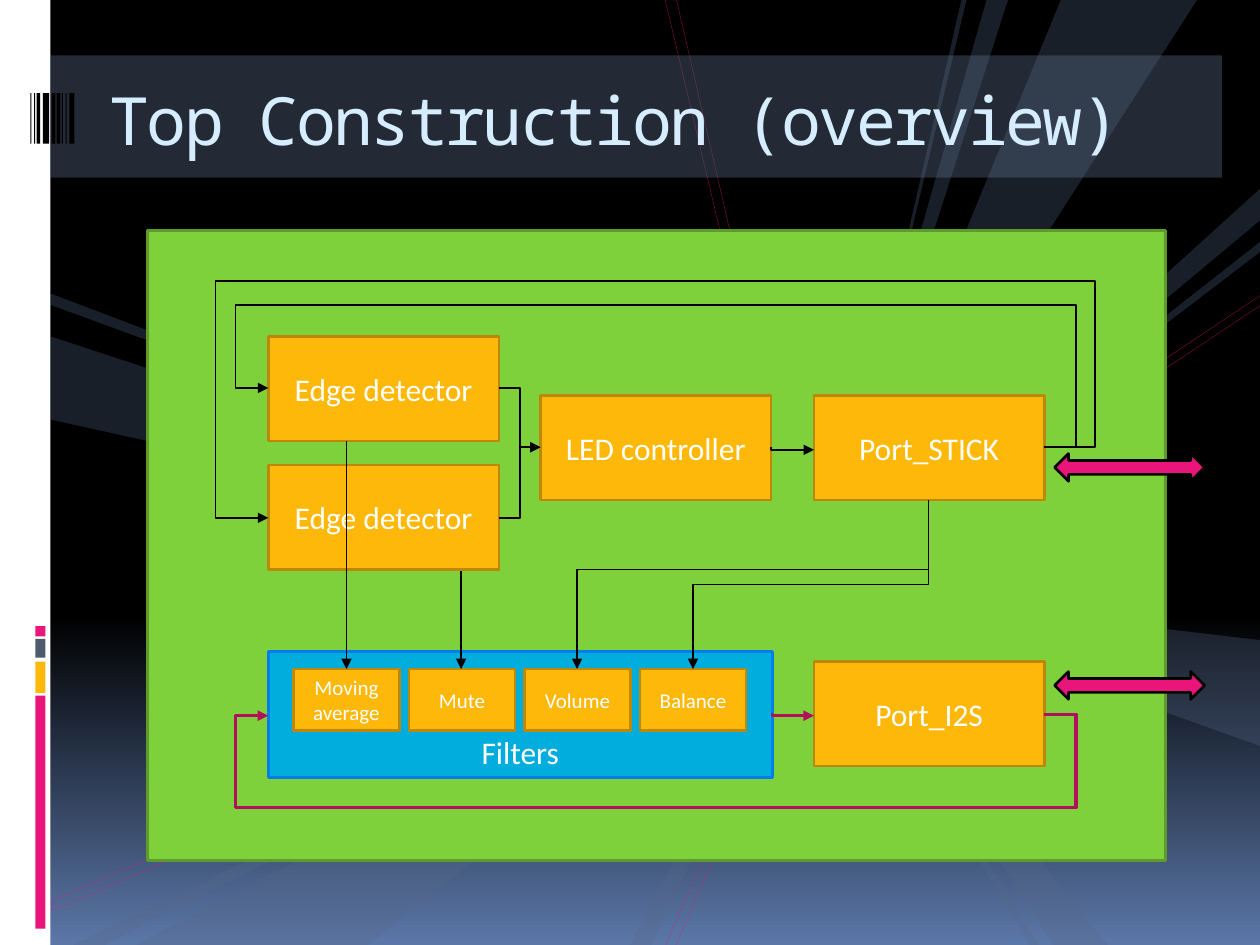
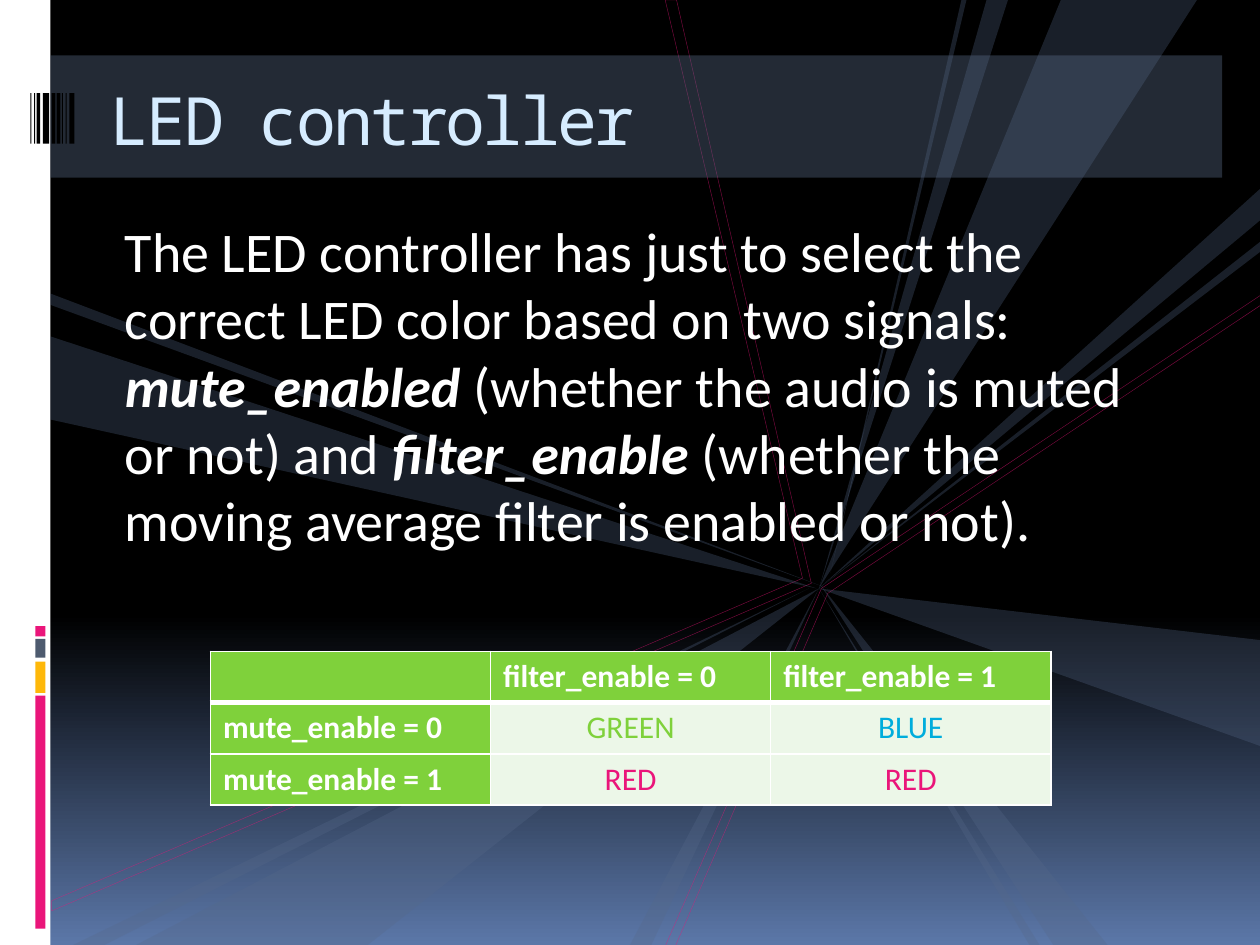
from lxml import etree
from pptx import Presentation
from pptx import util as u
from pptx.dml.color import RGBColor
from pptx.enum import shapes as kinds, text as txt
from pptx.oxml.ns import qn

BLACK = RGBColor(0x00, 0x00, 0x00)
WHITE = RGBColor(0xFF, 0xFF, 0xFF)
DUSK = RGBColor(0x5B, 0x77, 0xA8)
SLATE = RGBColor(0x4E, 0x5B, 0x6F)
RAY = RGBColor(0x56, 0x69, 0x89)
BAND = RGBColor(0x58, 0x6A, 0x86)
ICE = RGBColor(0xD6, 0xEC, 0xFF)
PINK = RGBColor(0xEA, 0x15, 0x7A)
DARK_PINK = RGBColor(0xB0, 0x10, 0x5C)
AMBER = RGBColor(0xFE, 0xB8, 0x0A)
DARK_AMBER = RGBColor(0xBC, 0x88, 0x07)
GREEN = RGBColor(0x7F, 0xD1, 0x3B)
DARK_GREEN = RGBColor(0x5E, 0x9B, 0x2C)
BLUE = RGBColor(0x00, 0xAD, 0xDC)
DARK_BLUE = RGBColor(0x00, 0x7E, 0xEB)
PALE = RGBColor(0xEC, 0xF7, 0xE8)
BODY_FONT, TITLE_FONT = "Calibri", "Noto Sans Mono"

SIDE_BARS = [(0, 0, 0.4, 7.5, WHITE), (0.28, 5.52, 0.08, 1.85, PINK),
             (0.28, 5.25, 0.08, 0.25, AMBER), (0.28, 5.07, 0.08, 0.15, SLATE),
             (0.28, 4.97, 0.08, 0.08, PINK)]
BARCODE = [(0.24, 0.01), (0.27, 0.01), (0.29, 0.03), (0.34, 0.05), (0.41, 0.03),
           (0.45, 0.03), (0.49, 0.01), (0.52, 0.01), (0.55, 0.04)]
PINK_OUTLINES = [
    [(5.28, 7.51), (6.52, 4.67), (10.01, 2.34), (10.01, 2.42), (6.57, 4.71), (5.36, 7.51)],
    [(0.41, 7.15), (0.41, 7.23), (6.44, 4.63), (5.37, 0), (5.28, 0), (6.37, 4.59)],
]
HUB = (6.5, 4.67)
RAYS = [
    [(7.67, 0), (6.59, 4.55), (7.63, 0)],
    [(8.42, 0), (9.5, 0), HUB],
    [HUB, (10, 5.08), (10, 5.92)],
    [(8, 0), HUB, (7.83, 0)],
    [(8.36, 7.5), (8.79, 7.5), (6.51, 4.64)],
    [(8.25, 7.5), HUB, (8.17, 7.5)],
    [(10, 1.5), (10, 1.75), HUB],
    [(10, 1.92), HUB, (10, 2)],
    [(1.08, 7.5), HUB, (2.92, 7.5)],
    [(0.58, 7.5), (6.42, 4.67), (0.83, 7.5)],
    [(0.4, 2.67), (6.48, 4.67), (0.4, 3.33)],
    [(0.4, 2.33), (6.57, 4.67), (0.4, 2.42)],
    [(5, 7.5), (5.17, 7.5), HUB],
]

BLOCK_W, BLOCK_H = 1.83, 0.83
BLOCKS = [("Port_STICK", 6.46, 3.14), ("Edge detector", 2.13, 2.67),
          ("Edge detector", 2.13, 3.69), ("LED controller", 4.29, 3.14),
          ("Port_I2S", 6.46, 5.25)]
FILTERS = ["Moving average", "Mute", "Volume", "Balance"]
FILTER_LEFT, FILTER_TOP, FILTER_STEP = 2.33, 5.31, 2.75 / 3
PORT_TOPS = [3.6, 5.33]
SIGNALS = [
    ((8.29, 3.55), (2.13, 3.08), (8.54, 2.42, 1.87)),
    ((8.29, 3.55), (2.13, 4.11), (8.69, 2.23, 1.71)),
    ((3.96, 3.08), (4.29, 3.55), (4.13,)),
    ((3.96, 4.11), (4.29, 3.55), (4.13,)),
    ((6.12, 3.55), (6.46, 3.57), (6.12,)),
]
AUDIO = [((6.12, 5.67), (6.46, 5.68), (6.13,)),
         ((8.29, 5.67), (2.13, 5.68), (8.54, 6.42, 1.87))]
CONTROLS = [((7.37, 3.97), (4.58, 5.31), (4.52,)),
            ((7.37, 3.97), (5.5, 5.31), (4.64,)),
            ((2.75, 3.5), (2.75, 5.31), ()),
            ((3.66, 4.53), (3.66, 5.31), ())]

SUMMARY = [
    ("The LED controller has just to select the correct LED color based on two signals: ", False),
    ("mute_enabled", True),
    (" (whether the audio is muted or not) and ", False),
    ("filter_enable ", True),
    ("(whether the moving average filter is enabled or not).", False),
]
LED_COLOURS = [["", "filter_enable = 0", "filter_enable = 1"],
               ["mute_enable = 0", "GREEN", "BLUE"],
               ["mute_enable = 1", "RED", "RED"]]
WORD_COLOURS = {"GREEN": GREEN, "BLUE": BLUE, "RED": PINK}


def inch(value):
    return u.Cm(value * 2.54)


def set_font(font, size, colour, name=BODY_FONT):
    font.size, font.name = u.Pt(size), name
    font.color.rgb = colour


def fade(shape, percent):
    colour = next(shape._element.spPr.iter(qn("a:srgbClr")))
    etree.SubElement(colour, qn("a:alpha")).set("val", str(percent * 1000))


def paint(shape, fill=None, edge=None, width=1.5):
    shape.shadow.inherit = False
    if fill is None:
        shape.fill.background()
    else:
        shape.fill.solid()
        shape.fill.fore_color.rgb = fill
    if edge is None:
        shape.line.fill.background()
    else:
        shape.line.color.rgb = edge
        shape.line.width = u.Pt(width)
    return shape


def box(slide, left, top, width, height, fill, edge=None, label="", size=18,
        kind=kinds.MSO_SHAPE.RECTANGLE):
    shape = slide.shapes.add_shape(kind, *map(inch, (left, top, width, height)))
    paint(shape, fill, edge)
    if label:
        paragraph = shape.text_frame.paragraphs[0]
        paragraph.text = label
        paragraph.alignment = txt.PP_ALIGN.CENTER
        set_font(paragraph.font, size, WHITE)
    return shape


def outline(slide, points):
    first, *rest = [tuple(map(inch, point)) for point in points]
    builder = slide.shapes.build_freeform(*first)
    builder.add_line_segments(rest, close=True)
    return builder.convert_to_shape()


def wire(slide, start, end, turns, down=False, colour=BLACK, width=0.94):
    begin, finish = start, end
    if down and turns:
        middle_x, middle_y = (start[0] + end[0]) / 2, (start[1] + end[1]) / 2
        half_w, half_h = (end[1] - start[1]) / 2, (start[0] - end[0]) / 2
        begin = middle_x - half_w, middle_y - half_h
        finish = middle_x + half_w, middle_y + half_h
    kind = kinds.MSO_CONNECTOR.ELBOW if turns else kinds.MSO_CONNECTOR.STRAIGHT
    line = slide.shapes.add_connector(kind, *map(inch, begin + finish))
    line.line.color.rgb = colour
    line.line.width = u.Pt(width)
    properties = line._element.spPr
    etree.SubElement(properties.find(qn("a:ln")), qn("a:tailEnd")).set("type", "triangle")
    etree.SubElement(properties, qn("a:effectLst"))
    if not turns:
        return
    if down:
        properties.find(qn("a:xfrm")).set("rot", str(90 * 60000))
    geometry = properties.find(qn("a:prstGeom"))
    geometry.set("prst", f"bentConnector{len(turns) + 2}")
    guides = geometry.find(qn("a:avLst"))
    if guides is None:
        guides = etree.SubElement(geometry, qn("a:avLst"))
    for number, turn in enumerate(turns):
        axis = (number + down) % 2
        share = (turn - start[axis]) / (end[axis] - start[axis])
        guide = etree.SubElement(guides, qn("a:gd"))
        guide.set("name", f"adj{number + 1}")
        guide.set("fmla", f"val {round(share * 100000)}")


def place(holder, left, top, width, height, insets):
    holder.left, holder.top, holder.width, holder.height = map(inch, (left, top, width, height))
    frame = holder.text_frame
    frame.margin_left, frame.margin_top, frame.margin_right, frame.margin_bottom = map(inch, insets)
    frame.vertical_anchor = txt.MSO_ANCHOR.TOP
    frame.auto_size = txt.MSO_AUTO_SIZE.NONE
    frame.word_wrap = True
    return frame.paragraphs[0]


def add_titled(layout, heading):
    slide = deck.slides.add_slide(deck.slide_layouts[layout])
    paragraph = place(slide.shapes.title, 0.77, 0.56, 8.92, 0.85, (0.1, 0.07, 0.1, 0.05))
    paragraph.text = heading
    paragraph.alignment = txt.PP_ALIGN.LEFT
    set_font(paragraph.font, 38, ICE, TITLE_FONT)
    paragraph.font._element.set("spc", "-150")
    return slide


def dress_master(master, slide):
    backdrop = master.background.fill
    backdrop.gradient()
    backdrop.gradient_angle = 270
    for stop, position, colour in zip(backdrop.gradient_stops, (0.65, 1), (BLACK, DUSK)):
        stop.position, stop.color.rgb = position, colour
    decor = [box(slide, *bar) for bar in SIDE_BARS]
    for points in PINK_OUTLINES:
        decor.append(paint(outline(slide, points), edge=PINK, width=0.25))
        fade(decor[-1], 53)
    for points in RAYS:
        decor.append(paint(outline(slide, points), RAY))
        fade(decor[-1], 30)
    decor.append(box(slide, 0.4, 0.44, 9.3, 0.97, BAND))
    fade(decor[-1], 40)
    decor += [box(slide, left, 0.74, width, 0.4, BLACK) for left, width in BARCODE]
    for index, shape in enumerate(decor):
        shape._element.nvSpPr.cNvPr.id = 100 + index
        master.shapes.element.insert(2 + index, shape._element)


def set_borders(cell, widths):
    for index, (side, width) in enumerate(zip("LRTB", widths)):
        border = etree.Element(qn(f"a:ln{side}"), w=str(u.Pt(width)))
        fill = etree.SubElement(border, qn("a:solidFill"))
        etree.SubElement(fill, qn("a:srgbClr")).set("val", str(WHITE))
        cell._tc.get_or_add_tcPr().insert(index, border)


deck = Presentation()
deck.slide_width, deck.slide_height = inch(10), inch(7.5)

overview = add_titled(5, "Top Construction (overview)")
dress_master(deck.slide_master, overview)
box(overview, 1.17, 1.83, 8.08, 5, GREEN, DARK_GREEN)
for label, left, top in BLOCKS:
    box(overview, left, top, BLOCK_W, BLOCK_H, AMBER, DARK_AMBER, label)
for top in PORT_TOPS:
    box(overview, 8.37, top, 1.19, 0.22, PINK, BLACK,
        kind=kinds.MSO_SHAPE.LEFT_RIGHT_ARROW)
bank = box(overview, 2.13, 5.17, 4, 1, BLUE, DARK_BLUE, "Filters")
bank.text_frame.vertical_anchor = txt.MSO_ANCHOR.BOTTOM
for column, label in enumerate(FILTERS):
    box(overview, FILTER_LEFT + column * FILTER_STEP, FILTER_TOP, 0.84, 0.49,
        AMBER, DARK_AMBER, label, 12)
for route in SIGNALS:
    wire(overview, *route)
for route in AUDIO:
    wire(overview, *route, colour=DARK_PINK, width=2)
for route in CONTROLS:
    wire(overview, *route, down=True)

controller = add_titled(1, "LED controller")
summary = place(controller.placeholders[1], 0.83, 1.67, 8.58, 5.25, (0.09, 0.05, 0.1, 0))
indents = summary._p.get_or_add_pPr()
indents.set("marL", str(inch(0.07)))
indents.set("indent", "0")
etree.SubElement(indents, qn("a:buNone"))
summary.space_before = u.Pt(7)
set_font(summary.font, 32, WHITE)
for words, is_signal in SUMMARY:
    run = summary.add_run()
    run.text = words
    if is_signal:
        run.font.bold = run.font.italic = True

grid = controller.shapes.add_table(3, 3, *map(inch, (1.67, 5.17, 6.67, 1.22))).table
for row, entries in enumerate(LED_COLOURS):
    grid.rows[row].height = inch(1.22 / 3)
    for column, entry in enumerate(entries):
        cell = grid.cell(row, column)
        is_head = row == 0 or column == 0
        cell.fill.solid()
        cell.fill.fore_color.rgb = GREEN if is_head else PALE
        set_borders(cell, (1, 1, 3 if row == 1 else 1, 3 if row == 0 else 1))
        paragraph = cell.text_frame.paragraphs[0]
        paragraph.text = entry
        paragraph.alignment = txt.PP_ALIGN.LEFT if is_head else txt.PP_ALIGN.CENTER
        set_font(paragraph.font, 18, WORD_COLOURS.get(entry, WHITE))
        paragraph.font.bold = is_head

deck.save("out.pptx")
